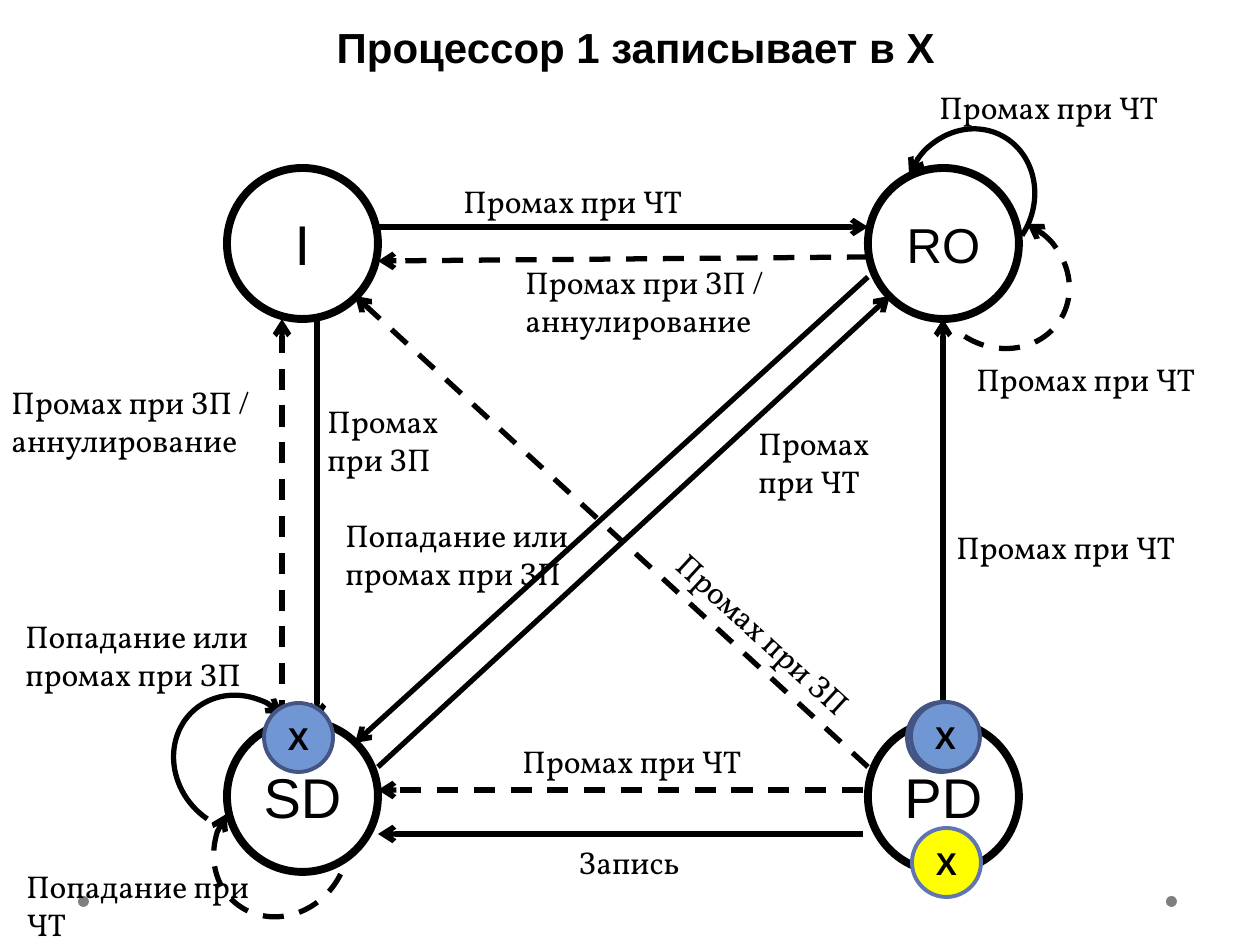
from dataclasses import dataclass
from pptx import Presentation
from pptx.dml.color import RGBColor
from pptx.enum.dml import MSO_LINE_DASH_STYLE as Dash
from pptx.enum.shapes import MSO_CONNECTOR, MSO_SHAPE
from pptx.enum.text import MSO_ANCHOR, PP_ALIGN
from pptx.oxml.ns import qn
from pptx.util import Pt
from lxml.etree import SubElement

EMU_PER_PX = 914400 // 126
NODE_SIZE = 151
BADGE_SIZE = 69
LEFT, RIGHT, TOP, BOTTOM = 227, 868, 168, 721
ARC_SIZE = (142, 129)
ARC_UNITS_PER_DEGREE = 0.6


@dataclass(frozen=True)
class Theme:
    ink: str = "000000"
    paper: str = "FFFFFF"
    dot: str = "7F7F7F"
    blue: str = "7097D3"
    blue_edge: str = "445583"
    yellow: str = "FFFF00"
    yellow_edge: str = "6076B4"
    heading_font: str = "Arial"
    label_font: str = "Vollkorn"
    title_size: int = 24
    node_size: int = 32
    small_node_size: int = 28
    label_size: int = 18
    node_line: float = 4.5
    badge_line: float = 2.25
    arrow_line: int = 3


THEME = Theme()

ARROWS = [
    ((378, 227), (868, 227), False),
    ((317, 319), (317, 721), False),
    ((863, 834), (378, 834), False),
    ((868, 277), (355, 743), False),
    ((282, 721), (282, 319), True),
    ((868, 257), (378, 261), True),
    ((943, 711), (943, 319), False),
    ((868, 767), (355, 296), True),
    ((378, 767), (890, 296), False),
    ((863, 790), (378, 790), True),
]

CLOCKWISE_HEAD = (265, 98, "headEnd")
CLOCKWISE_TAIL = (73, 262, "tailEnd")
LOOPS = [
    ((898, 134), 296.8, CLOCKWISE_HEAD, False),
    ((210, 784), 310.2, CLOCKWISE_TAIL, True),
    ((929, 218), 30, CLOCKWISE_HEAD, True),
    ((170, 699), 48.2, CLOCKWISE_TAIL, False),
]

LABELS = [
    ("Промах при ЧТ", (927, 82, 292, 50), 0),
    ("Промах при ЧТ", (451, 176, 262, 50), 0),
    ("Промах при ЗП", (635, 624, 291, 50), 42.5),
    ("Попадание при ЧТ", (14, 861, 255, 88), 0),
    ("Промах при ЧТ", (944, 522, 263, 50), 0),
    ("Запись", (566, 837, 135, 50), 0),
    ("Промах при ЗП / аннулирование", (513, 257, 291, 88), 0),
    ("Промах при ЗП / аннулирование", (-1, 377, 325, 88), 0),
    ("Промах при ЗП", (315, 396, 173, 88), 0),
    ("Промах при ЧТ", (964, 354, 292, 50), 0),
    ("Промах при ЧТ", (746, 418, 197, 88), 0),
    ("Попадание или промах при ЗП", (333, 510, 255, 88), 0),
    ("Промах при ЧТ", (510, 736, 282, 50), 0),
    ("Попадание или промах при ЗП", (13, 611, 255, 88), 0),
]


def px(*lengths):
    return [length * EMU_PER_PX for length in lengths]


def color(code):
    return RGBColor.from_string(code)


def write(shape, text, font, size, bold=False, align=PP_ALIGN.LEFT):
    frame = shape.text_frame
    frame.text = text
    frame.word_wrap = True
    paragraph = frame.paragraphs[0]
    paragraph.alignment = align
    for run in paragraph.runs:
        run.font.name = font
        run.font.size = Pt(size)
        run.font.bold = bold
        run.font.color.rgb = color(THEME.ink)


def add_circle(slide, left, top, diameter, fill, edge=None, width=0):
    circle = slide.shapes.add_shape(MSO_SHAPE.OVAL, *px(left, top, diameter, diameter))
    circle.shadow.inherit = False
    circle.fill.solid()
    circle.fill.fore_color.rgb = color(fill)
    if edge:
        circle.line.color.rgb = color(edge)
        circle.line.width = Pt(width)
    else:
        circle.line.fill.background()
    return circle


def add_node(slide, name, left, top, size=THEME.node_size):
    node = add_circle(slide, left, top, NODE_SIZE, THEME.paper, THEME.ink, THEME.node_line)
    write(node, name, THEME.heading_font, size, align=PP_ALIGN.CENTER)
    node.text_frame.vertical_anchor = MSO_ANCHOR.MIDDLE


def add_badge(slide, left, top, fill=THEME.blue, edge=THEME.blue_edge):
    badge = add_circle(slide, left, top, BADGE_SIZE, fill, edge, THEME.badge_line)
    write(badge, "X", THEME.heading_font, THEME.label_size, True, PP_ALIGN.CENTER)
    badge.text_frame.vertical_anchor = MSO_ANCHOR.MIDDLE


def style_arrow(line, dashed, end):
    line.color.rgb = color(THEME.ink)
    line.width = Pt(THEME.arrow_line)
    if dashed:
        line.dash_style = Dash.DASH
    SubElement(line._get_or_add_ln(), qn(f"a:{end}"), type="arrow")


def add_arrow(slide, start, finish, dashed):
    arrow = slide.shapes.add_connector(MSO_CONNECTOR.STRAIGHT, *px(*start, *finish))
    style_arrow(arrow.line, dashed, "tailEnd")
    SubElement(arrow._element.spPr, qn("a:effectLst"))


def add_loop(slide, corner, rotation, sweep, dashed):
    start, finish, end = sweep
    loop = slide.shapes.add_shape(MSO_SHAPE.ARC, *px(*corner, *ARC_SIZE))
    loop.adjustments[0] = start * ARC_UNITS_PER_DEGREE
    loop.adjustments[1] = finish * ARC_UNITS_PER_DEGREE
    loop.rotation = rotation
    loop.fill.background()
    style_arrow(loop.line, dashed, end)
    loop.shadow.inherit = False


def add_label(slide, text, box, rotation):
    label = slide.shapes.add_textbox(*px(*box))
    label.rotation = rotation
    write(label, text, THEME.label_font, THEME.label_size)


def add_title(slide, text):
    title = slide.shapes.add_textbox(*px(0, 15, 1260, 63))
    write(title, text, THEME.heading_font, THEME.title_size, True, PP_ALIGN.CENTER)


def main():
    presentation = Presentation()
    presentation.slide_width, presentation.slide_height = px(1260, 945)
    slide = presentation.slides.add_slide(presentation.slide_layouts[6])

    for left in (1166, 78):
        add_circle(slide, left, 896, 11, THEME.dot)
    add_node(slide, "RO", RIGHT, TOP, THEME.small_node_size)
    for arrow in ARROWS:
        add_arrow(slide, *arrow)
    for loop in LOOPS:
        add_loop(slide, *loop)
    for name, left, top in (("SD", LEFT, BOTTOM), ("PD", RIGHT, BOTTOM), ("I", LEFT, TOP)):
        add_node(slide, name, left, top)
    for label in LABELS:
        add_label(slide, *label)
    add_title(slide, " Процессор 1 записывает в Х")
    add_badge(slide, 912, 828, THEME.yellow, THEME.yellow_edge)
    for left, top in ((908, 702), (264, 703), (907, 703), (911, 702)):
        add_badge(slide, left, top)

    presentation.save("out.pptx")


if __name__ == "__main__":
    main()
